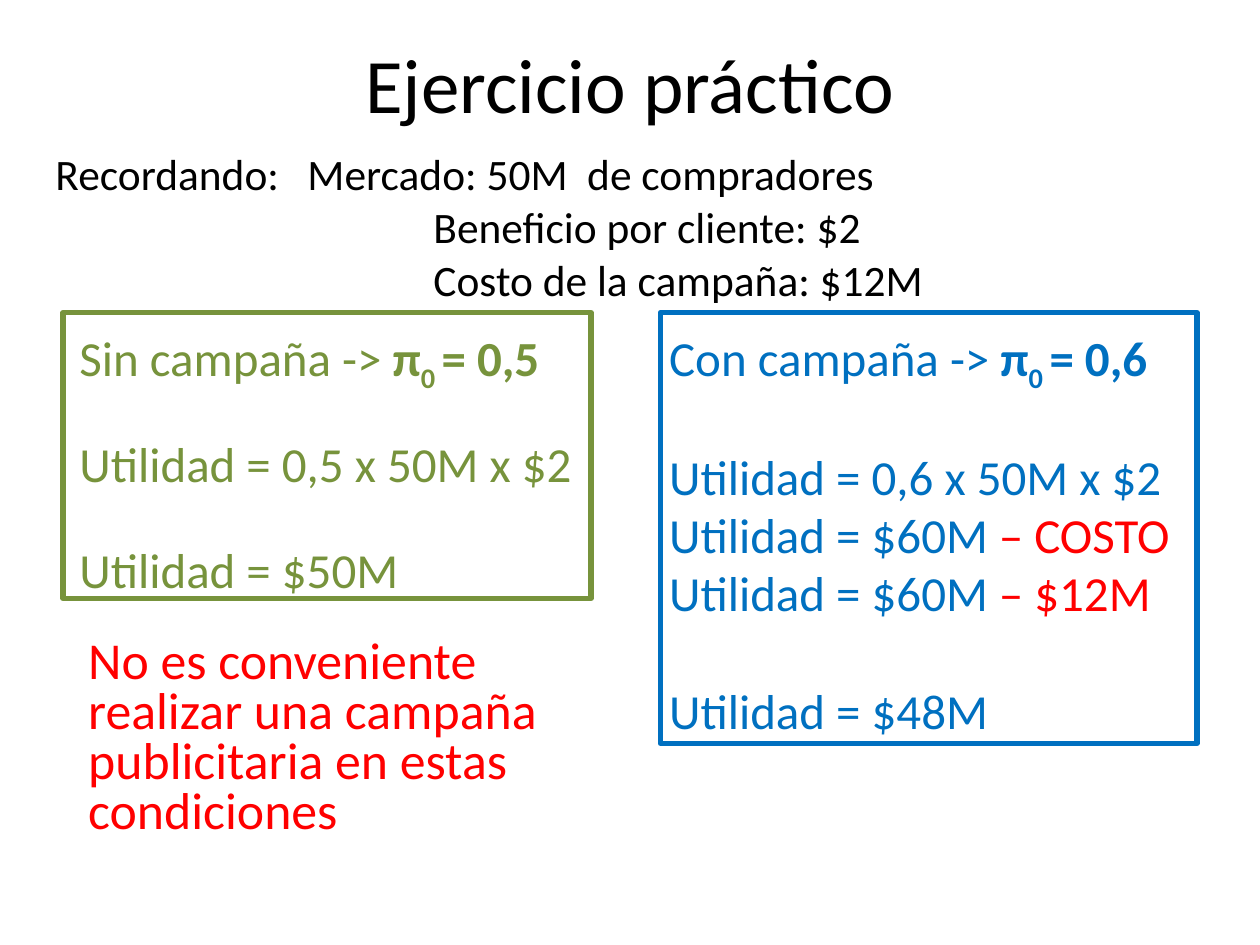
from lxml.etree import SubElement
from pptx import Presentation
from pptx.dml.color import RGBColor
from pptx.enum.shapes import MSO_SHAPE as Shape
from pptx.enum.text import MSO_ANCHOR as Anchor, PP_ALIGN as Align
from pptx.oxml.ns import qn
from pptx.util import Pt

FONT = "Calibri"
COLORS = {"black": "000000", "green": "77933C", "blue": "0070C0", "red": "FF0000"}
GAP = 6.4


def color(name):
    return RGBColor.from_string(COLORS[name])


def add_text_frame(slide, left, top, width, height, inset_left=14.4, inset_top=7.2):
    box = slide.shapes.add_textbox(Pt(left), Pt(top), Pt(width), Pt(height))
    frame = box.text_frame
    frame.word_wrap = True
    frame.margin_left, frame.margin_top = Pt(inset_left), Pt(inset_top)
    return frame


def add_paragraph(frame, spacing=1.0, before=GAP):
    """Start a paragraph, using the frame's empty first one when it is free."""
    first = frame.paragraphs[0]
    is_first = not first.runs
    paragraph = first if is_first else frame.add_paragraph()
    paragraph.line_spacing = spacing
    paragraph.space_before = Pt(0 if is_first else before)
    return paragraph


def add_run(paragraph, text, size, color_name, bold=False, baseline=None):
    run = paragraph.add_run()
    run.text = text
    run.font.name, run.font.size, run.font.bold = FONT, Pt(size), bold
    run.font.color.rgb = color(color_name)
    if baseline is not None:
        run.font._element.set("baseline", str(baseline))


def add_tab_stop(paragraph, position):
    tabs = SubElement(paragraph._p.get_or_add_pPr(), qn("a:tabLst"))
    SubElement(tabs, qn("a:tab"), pos=str(Pt(position)), algn="l")


def add_title(slide, text):
    frame = add_text_frame(slide, 36, 0.7, 648, 90, inset_left=7.2)
    frame.vertical_anchor = Anchor.MIDDLE
    paragraph = add_paragraph(frame)
    paragraph.alignment = Align.CENTER
    add_run(paragraph, text, 44, "black")


def add_reminder(slide, lines):
    """Add lines of label, value and the tab position of the value."""
    frame = add_text_frame(slide, 17.3, 82.8, 686, 102)
    for label, value, position in lines:
        paragraph = add_paragraph(frame, 0.8)
        add_tab_stop(paragraph, position)
        add_run(paragraph, f"{label}\t{value}", 24.8, "black")


def add_case(slide, text_box, border_box, color_name, spacing, heading, share, lines):
    """Add a bordered calculation; each line is gap before, text, red ending."""
    frame = add_text_frame(slide, *text_box, inset_top=3.6)
    frame.margin_right = Pt(0)
    paragraph = add_paragraph(frame, spacing)
    add_run(paragraph, f"{heading} -> ", 28, color_name)
    add_run(paragraph, "π", 28, color_name, bold=True)
    add_run(paragraph, "0 ", 28, color_name, bold=True, baseline=-25000)
    add_run(paragraph, f"= {share}", 28, color_name, bold=True)
    for before, text, ending in lines:
        paragraph = add_paragraph(frame, spacing, before)
        add_run(paragraph, text, 28, color_name)
        if ending:
            add_run(paragraph, ending, 28, "red")

    border = slide.shapes.add_shape(Shape.RECTANGLE, *(Pt(v) for v in border_box))
    border.shadow.inherit = False
    border.fill.background()
    border.line.color.rgb = color(color_name)
    border.line.width = Pt(3)


def add_conclusion(slide, text):
    frame = add_text_frame(slide, 36, 358.6, 318, 142)
    add_run(add_paragraph(frame, 0.8), text, 29.6, "red")


def main():
    presentation = Presentation()
    presentation.slide_width, presentation.slide_height = Pt(720), Pt(540)
    slide = presentation.slides.add_slide(presentation.slide_layouts[6])
    add_title(slide, "Ejercicio práctico")
    add_reminder(slide, [
        ("Recordando:", "Mercado: 50M  de compradores", 144),
        ("", "Beneficio por cliente: $2", 216),
        ("", "Costo de la campaña: $12M", 216),
    ])
    add_case(slide, (31, 190, 312, 164), (36, 178.6, 301.7, 163.4),
             "green", 0.7, "Sin campaña", "0,5", [
                 (36.7, "Utilidad = 0,5 x 50M x $2", ""),
                 (36.7, "Utilidad = $50M", ""),
             ])
    add_case(slide, (368, 187.2, 312, 232), (377.3, 178.6, 306.7, 246.2),
             "blue", 0.8, "Con campaña", "0,6", [
                 (40.2, "Utilidad = 0,6 x 50M x $2", ""),
                 (GAP, "Utilidad = $60M ", "– COSTO"),
                 (GAP, "Utilidad = $60M ", "– $12M"),
                 (40.2, "Utilidad = $48M", ""),
             ])
    add_conclusion(slide, "No es conveniente realizar una campaña publicitaria "
                          "en estas condiciones")
    presentation.save("out.pptx")


if __name__ == "__main__":
    main()
